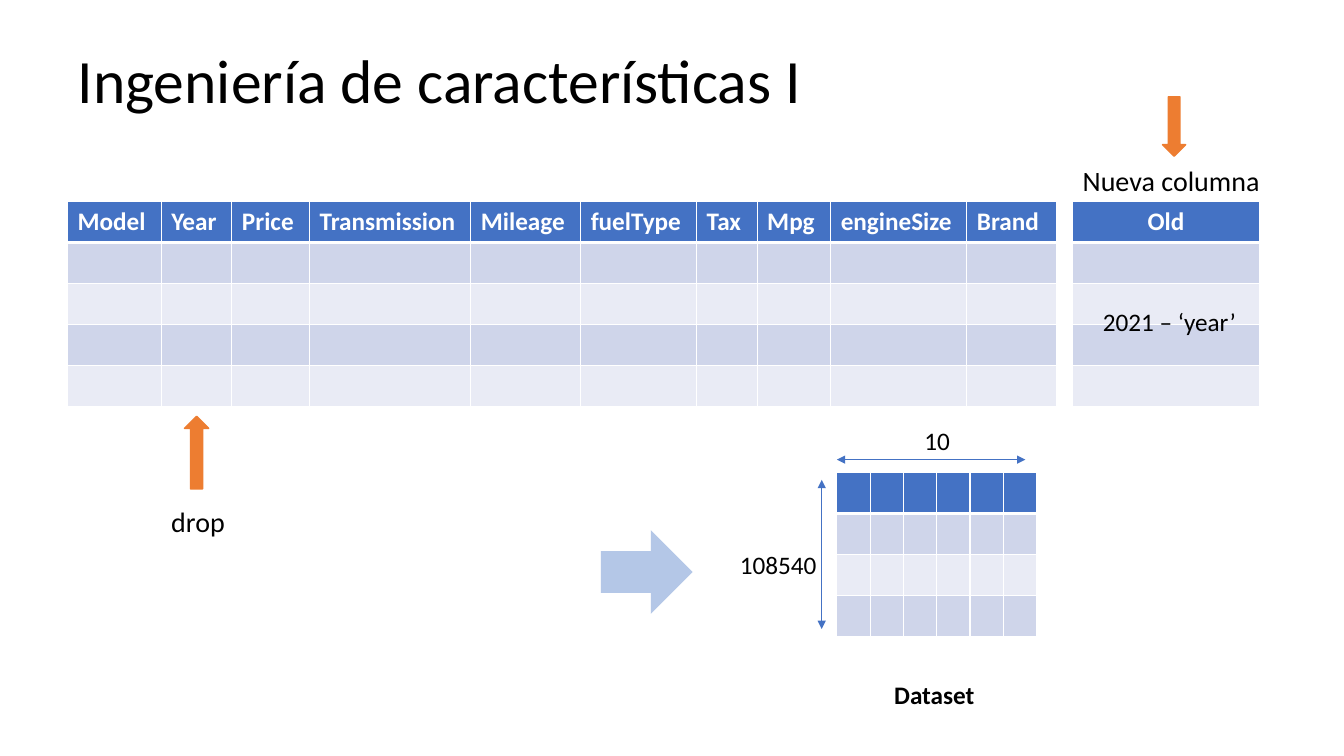
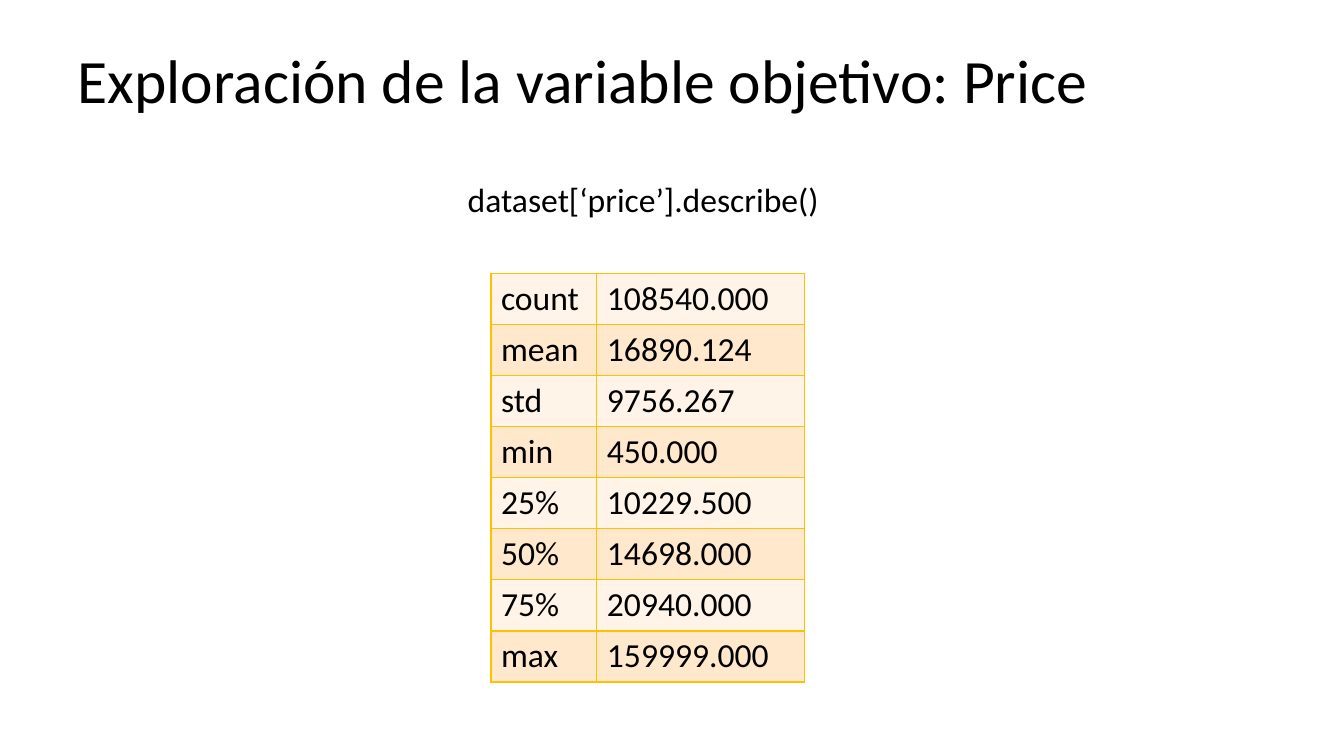
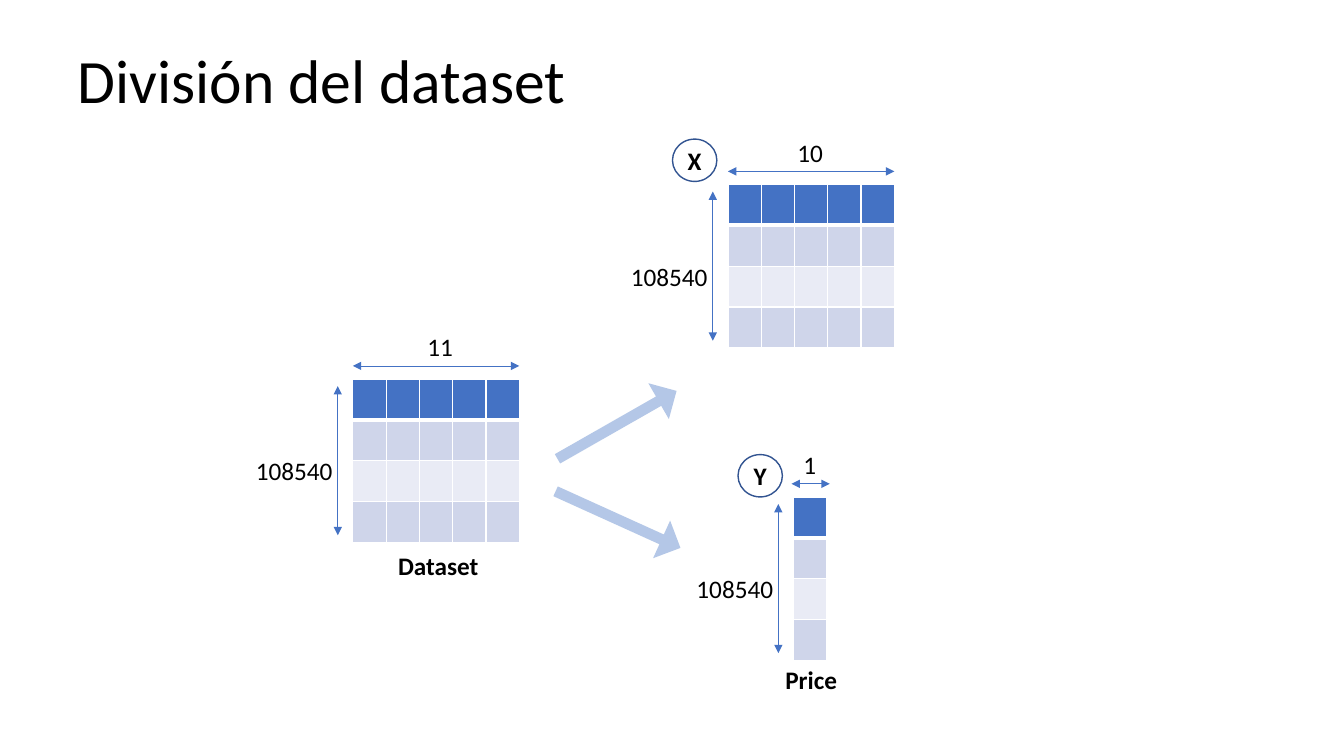
from pptx import Presentation
from pptx.dml.color import RGBColor
from pptx.enum.shapes import MSO_CONNECTOR, MSO_SHAPE as SHAPE
from pptx.enum.text import MSO_ANCHOR as ANCHOR, MSO_AUTO_SIZE, PP_ALIGN as ALIGN
from pptx.oxml.ns import qn
from pptx.util import Pt
from lxml.etree import SubElement

PX = 9144  # 100 px to the inch
FONT = "Calibri"
BLACK, WHITE = "000000", "FFFFFF"
BLUE, PALE_BLUE, NAVY, ORANGE, GOLD = "4472C4", "B4C7E7", "325491", "ED7D31", "FFC000"
BLUE_BANDS = ("CFD5EA", "E9EBF5")
GOLD_BANDS = ("FFF4E7", "FFE8CC")
rgb = RGBColor.from_string


def write(tf, text, size, color=BLACK, bold=False, align=ALIGN.LEFT):
    tf.word_wrap = True
    tf.text = text
    p = tf.paragraphs[0]
    p.alignment = align
    for r in p.runs:
        r.font.name, r.font.size, r.font.bold = FONT, Pt(size), bold
        r.font.color.rgb = rgb(color)


def add_grid(s, x, y, cols, height, rows, bands, border, header, size=18, align=ALIGN.LEFT):
    frame = s.shapes.add_table(len(rows), len(cols), x * PX, y * PX, sum(cols) * PX, height * PX)
    table = frame.table
    table.first_row = table.horz_banding = False
    for col, w in zip(table.columns, cols):
        col.width = w * PX
    for i, texts in enumerate(rows):
        table.rows[i].height = height * PX // len(rows)
        is_head = header and i == 0
        fill = BLUE if is_head else bands[(i - header) % 2]
        for j, text in enumerate(texts):
            cell = table.cell(i, j)
            tcPr = cell._tc.get_or_add_tcPr()
            for side in "LRTB":
                # A thick rule separates the header from the body
                thick = header and (i, side) in ((0, "B"), (1, "T"))
                ln = SubElement(tcPr, qn("a:ln" + side), w=str(Pt(3 if thick else 1)))
                SubElement(SubElement(ln, qn("a:solidFill")), qn("a:srgbClr"), val=border)
            cell.fill.solid()
            cell.fill.fore_color.rgb = rgb(fill)
            if text:
                write(cell.text_frame, text, size, WHITE if is_head else BLACK, is_head, align)


prs = Presentation()
prs.slide_width, prs.slide_height = 1333 * PX, 750 * PX

# Slides and titles
for title in ("Ingeniería de características I",
              "Exploración de la variable objetivo: Price",
              "División del dataset"):
    s = prs.slides.add_slide(prs.slide_layouts[5])
    sp = s.shapes.title
    sp.left, sp.top, sp.width, sp.height = 67 * PX, 10 * PX, 1150 * PX, 145 * PX
    tf = sp.text_frame
    write(tf, title, 44)
    tf.auto_size = MSO_AUTO_SIZE.NONE
    tf.vertical_anchor = ANCHOR.MIDDLE
    tf.paragraphs[0].line_spacing = 0.9
features, target, split = prs.slides

# Column tables
names = ["Model", "Year", "Price", "Transmission", "Mileage",
         "fuelType", "Tax", "Mpg", "engineSize", "Brand"]
widths = [93, 70, 77, 160, 109, 115, 60, 73, 135, 89]
add_grid(features, 1064, 200, [185], 203, [["Old"]] + [[""]] * 4,
         BLUE_BANDS, WHITE, True, align=ALIGN.CENTER)
add_grid(features, 67, 200, widths, 203, [names] + [[""] * len(names)] * 4,
         BLUE_BANDS, WHITE, True)

# Statistics of the price
stats = [("count", "108540.000"), ("mean", "16890.124"), ("std", "9756.267"),
         ("min", "450.000"), ("25%", "10229.500"), ("50%", "14698.000"),
         ("75%", "20940.000"), ("max", "159999.000")]
add_grid(target, 487, 271, [105, 206], 400, stats, GOLD_BANDS, GOLD, False, size=24)

# Labels: slide, text, x, y, width, height, size, bold
labels = [
    (features, "Nueva columna", 1064, 157, 203, 44, 20, False),
    (features, "2021 – ‘year’", 1084, 299, 161, 40, 18, False),
    (features, "drop", 160, 496, 80, 44, 20, False),
    (features, "Dataset", 877, 669, 104, 42, 18, True),
    (target, "dataset[‘price’].describe()", 454, 173, 375, 50, 24, False),
    (split, "Dataset", 385, 541, 104, 42, 18, True),
    (split, "Price", 769, 654, 104, 42, 18, True),
]

# Small data grids with their dimensions:
# slide, x, y, columns, count, count x, width arrow from and to
for s, x, y, n, count, count_x, x1, x2 in (
        (features, 830, 469, 6, "10", 907, 830, 1017),
        (split, 722, 183, 5, "10", 781, 722, 887),
        (split, 787, 493, 1, "1", 787, 785, 823),
        (split, 350, 376, 5, "11", 414, 350, 515)):
    add_grid(s, x, y, [33] * n, 162, [[""] * n] * 4, BLUE_BANDS, WHITE, True)
    for ends in ((x - 15, y + 7, x - 15, y + 155), (x1, y - 13, x2, y - 13)):
        line = s.shapes.add_connector(MSO_CONNECTOR.STRAIGHT, *(v * PX for v in ends))
        line.line.color.rgb = rgb(BLUE)
        line.line.width = Pt(0.5)
        spPr = line.element.spPr
        for tag in ("a:headEnd", "a:tailEnd"):
            SubElement(spPr.find(qn("a:ln")), qn(tag), type="triangle")
        SubElement(spPr, qn("a:effectLst"))
    labels += [(s, "108540", x - 106, y + 71, 103, 40, 18, False),
               (s, count, count_x, y - 52, 46, 40, 18, False)]

for s, text, x, y, w, h, size, bold in labels:
    sp = s.shapes.add_textbox(x * PX, y * PX, w * PX, h * PX)
    write(sp.text_frame, text, size, bold=bold)

# Block arrows: slide, kind, x, y, width, height, rotation, shaft, colour, outlined
for s, kind, x, y, w, h, angle, shaft, color, outlined in (
        (features, SHAPE.UP_ARROW, 183, 413, 24, 72, 0, 0.5, ORANGE, True),
        (features, SHAPE.DOWN_ARROW, 1153, 96, 23, 59, 0, 0.5, ORANGE, True),
        (features, SHAPE.RIGHT_ARROW, 596, 526, 91, 83, 0, 0.5, PALE_BLUE, False),
        (split, SHAPE.RIGHT_ARROW, 545, 495, 136, 41, 24.4, 0.26, PALE_BLUE, False),
        (split, SHAPE.RIGHT_ARROW, 544, 401, 136, 41, 330.3, 0.26, PALE_BLUE, False)):
    sp = s.shapes.add_shape(kind, x * PX, y * PX, w * PX, h * PX)
    sp.shadow.inherit = False
    sp.rotation = angle
    sp.adjustments[0] = shaft
    sp.fill.solid()
    sp.fill.fore_color.rgb = rgb(color)
    if outlined:
        sp.line.color.rgb = rgb(color)
        sp.line.width = Pt(1)
    else:
        sp.line.fill.background()

# Circled names of the two parts
for name, x, y in (("X", 667, 138), ("Y", 732, 451)):
    sp = split.shapes.add_shape(SHAPE.OVAL, x * PX, y * PX, 44 * PX, 42 * PX)
    sp.shadow.inherit = False
    sp.fill.background()
    sp.line.color.rgb = rgb(NAVY)
    sp.line.width = Pt(1)
    tf = sp.text_frame
    tf.margin_left = tf.margin_right = tf.margin_top = tf.margin_bottom = 0
    tf.vertical_anchor = ANCHOR.MIDDLE
    write(tf, name, 18, bold=True, align=ALIGN.CENTER)

prs.save("out.pptx")
